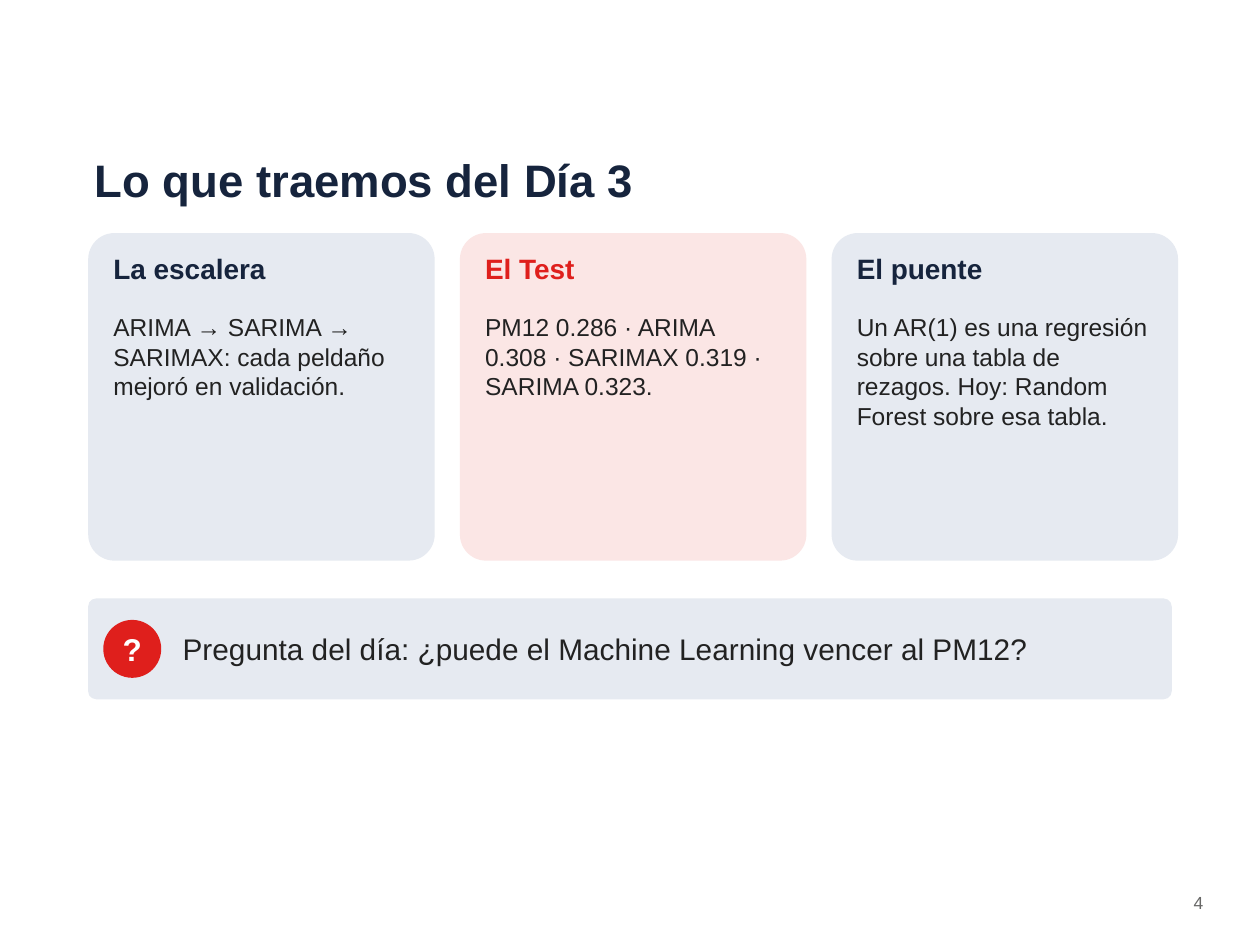
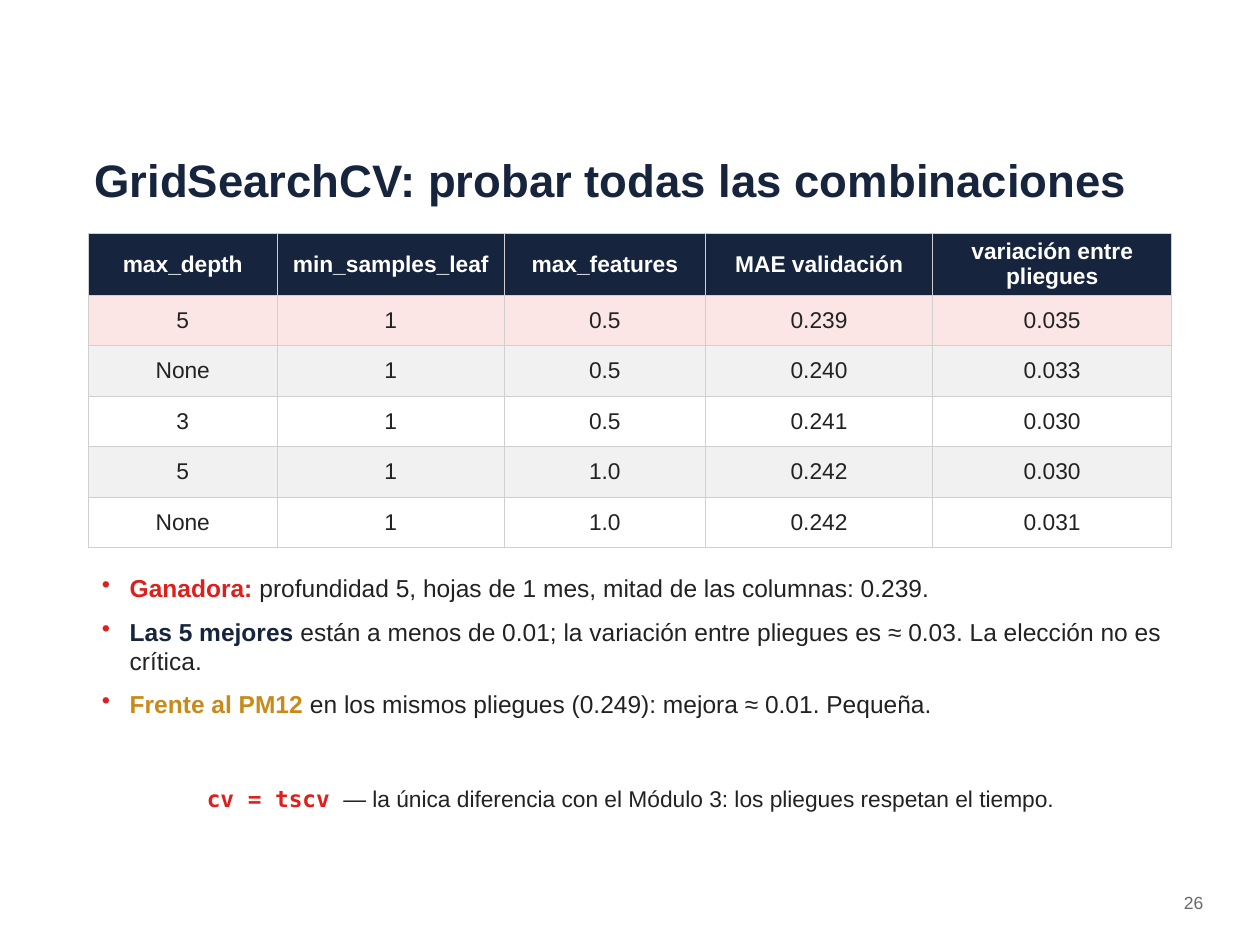
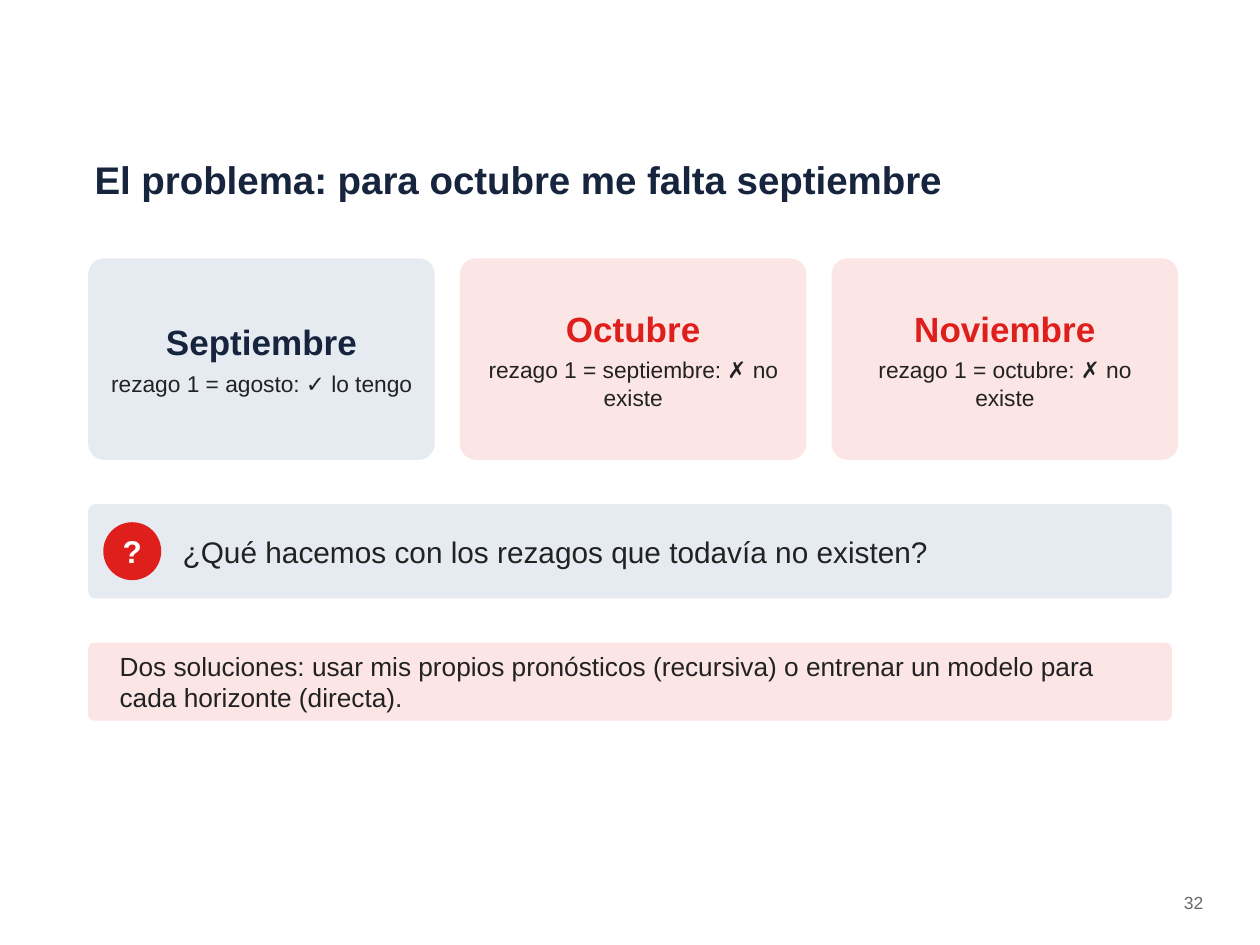
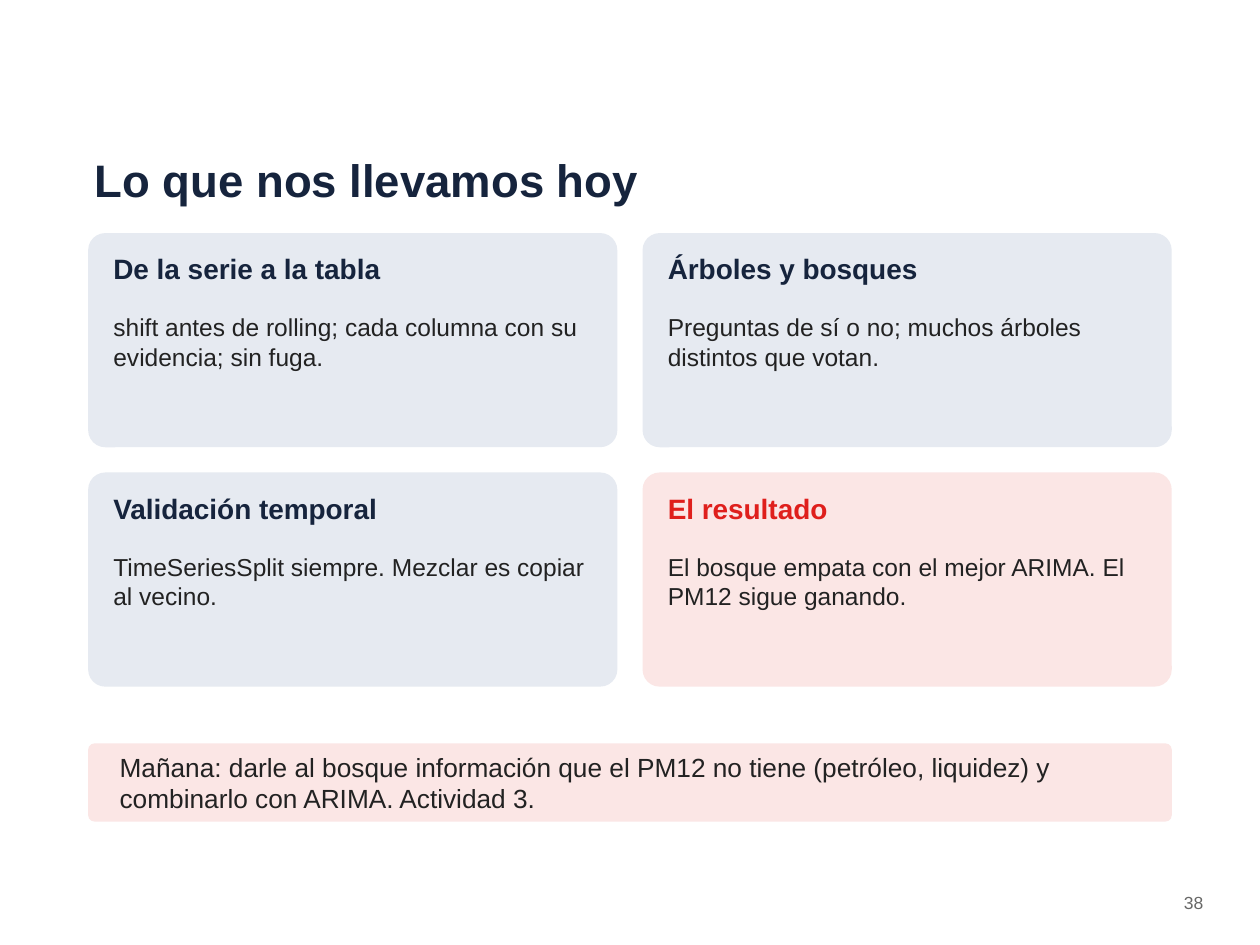
from lxml import etree
from pptx import Presentation
from pptx.dml.color import RGBColor
from pptx.enum.shapes import MSO_SHAPE
from pptx.enum.text import MSO_ANCHOR, MSO_AUTO_SIZE, PP_ALIGN
from pptx.oxml.ns import qn
from pptx.util import Pt

LEFT, CENTER, RIGHT = PP_ALIGN.LEFT, PP_ALIGN.CENTER, PP_ALIGN.RIGHT
TOP, MIDDLE = MSO_ANCHOR.TOP, MSO_ANCHOR.MIDDLE
ROUNDED, OVAL = MSO_SHAPE.ROUNDED_RECTANGLE, MSO_SHAPE.OVAL
GROW = MSO_AUTO_SIZE.SHAPE_TO_FIT_TEXT

COLORS = {
    "navy": "16243D", "red": "DF1F1C", "amber": "C98A1A", "text": "222222",
    "gray": "686867", "white": "FFFFFF", "pale_blue": "E6EAF1",
    "pale_red": "FBE6E5", "stripe": "F1F1F1", "border": "D0D0D0",
}
FONT, CODE_FONT = "Arial", "DejaVu Sans Mono"
# Card and heading colours by kind
KINDS = {"normal": ("pale_blue", "navy"), "alert": ("pale_red", "red")}

# Shared layout, in points
MARGIN, CONTENT_WIDTH, CONTENT_TOP, GAP = 50.4, 619.2, 133.2, 14.4
THIRD_WIDTH, HALF_WIDTH = 198, 302.4

# Content: (kind, heading, body)
RECAP_CARDS = [
    ("normal", "La escalera", "ARIMA → SARIMA → SARIMAX: cada peldaño mejoró en validación."),
    ("alert", "El Test", "PM12 0.286 · ARIMA 0.308 · SARIMAX 0.319 · SARIMA 0.323."),
    ("normal", "El puente", "Un AR(1) es una regresión sobre una tabla de rezagos. "
                            "Hoy: Random Forest sobre esa tabla."),
]
MONTH_CARDS = [
    ("normal", "Septiembre", "rezago 1 = agosto: ✓ lo tengo"),
    ("alert", "Octubre", "rezago 1 = septiembre: ✗ no existe"),
    ("alert", "Noviembre", "rezago 1 = octubre: ✗ no existe"),
]
SUMMARY_CARDS = [
    ("normal", "De la serie a la tabla",
     "shift antes de rolling; cada columna con su evidencia; sin fuga."),
    ("normal", "Árboles y bosques", "Preguntas de sí o no; muchos árboles distintos que votan."),
    ("normal", "Validación temporal", "TimeSeriesSplit siempre. Mezclar es copiar al vecino."),
    ("alert", "El resultado", "El bosque empata con el mejor ARIMA. El PM12 sigue ganando."),
]
GRID_RESULTS = [
    ("max_depth", "min_samples_leaf", "max_features", "MAE validación", "variación entre pliegues"),
    ("5", "1", "0.5", "0.239", "0.035"),
    ("None", "1", "0.5", "0.240", "0.033"),
    ("3", "1", "0.5", "0.241", "0.030"),
    ("5", "1", "1.0", "0.242", "0.030"),
    ("None", "1", "1.0", "0.242", "0.031"),
]
COLUMN_WIDTHS = [108, 129.6, 115.2, 129.6, 136.8]
ROW_HEIGHT = 28.8
ROW_FILLS = ["navy", "pale_red", "stripe", "white", "stripe", "white"]
FINDINGS = [
    ("Ganadora: ", "red", "profundidad 5, hojas de 1 mes, mitad de las columnas: 0.239."),
    ("Las 5 mejores ", "navy", "están a menos de 0.01; la variación entre pliegues es ≈ 0.03. "
                               "La elección no es crítica."),
    ("Frente al PM12 ", "amber", "en los mismos pliegues (0.249): mejora ≈ 0.01. Pequeña."),
]


def rgb(name):
    return RGBColor.from_string(COLORS[name])


def run(text, size, color="text", bold=False, font=FONT):
    return text, size, color, bold, font


def write(text_frame, paragraphs, align=LEFT, anchor=TOP, space_after=4, margins=(3.6, 2.16)):
    """Fill a text frame; each paragraph is a list of run() tuples."""
    text_frame.word_wrap = True
    text_frame.vertical_anchor = anchor
    text_frame.margin_left = text_frame.margin_right = Pt(margins[0])
    text_frame.margin_top = text_frame.margin_bottom = Pt(margins[1])
    for index, runs in enumerate(paragraphs):
        paragraph = text_frame.paragraphs[0] if index == 0 else text_frame.add_paragraph()
        paragraph.alignment = align
        paragraph.space_after = Pt(space_after)
        for text, size, color, bold, font in runs:
            part = paragraph.add_run()
            part.text = text
            part.font.size = Pt(size)
            part.font.name = font
            part.font.bold = bold
            part.font.color.rgb = rgb(color)


def add_text(slide, left, top, width, height, paragraphs, **options):
    box = slide.shapes.add_textbox(Pt(left), Pt(top), Pt(width), Pt(height))
    write(box.text_frame, paragraphs, **options)
    box.text_frame.auto_size = GROW
    return box


def add_panel(slide, left, top, width, height, fill, preset=ROUNDED):
    shape = slide.shapes.add_shape(preset, Pt(left), Pt(top), Pt(width), Pt(height))
    if preset == ROUNDED:
        shape.adjustments[0] = 0.08
    shape.shadow.inherit = False
    shape.fill.solid()
    shape.fill.fore_color.rgb = rgb(fill)
    shape.line.fill.background()
    return shape


def add_slide(presentation, title, number, title_size=26):
    slide = presentation.slides.add_slide(presentation.slide_layouts[5])
    heading = slide.shapes.title
    heading.left, heading.top = Pt(MARGIN), Pt(75.6)
    heading.width, heading.height = Pt(CONTENT_WIDTH), Pt(54)
    write(heading.text_frame, [[run(title, title_size, "navy", True)]], anchor=MIDDLE)
    heading.text_frame.auto_size = GROW
    add_text(slide, 648, 507.6, 43.2, 21.6, [[run(str(number), 10, "gray")]], align=RIGHT)
    return slide


def add_card(slide, left, top, width, height, card):
    kind, heading, body = card
    fill, color = KINDS[kind]
    add_panel(slide, left, top, width, height, fill)
    inner_left, inner_width = left + 10.8, width - 21.6
    add_text(slide, inner_left, top + 8.64, inner_width, 32.4, [[run(heading, 16, color, True)]])
    add_text(slide, inner_left, top + 43.2, inner_width, height - 50.4, [[run(body, 14)]])


def add_centered_card(slide, left, top, width, height, card):
    kind, heading, body = card
    fill, color = KINDS[kind]
    add_panel(slide, left, top, width, height, fill)
    add_text(slide, left + 7.2, top, width - 14.4, height,
             [[run(heading, 20, color, True)], [run(body, 13)]], align=CENTER, anchor=MIDDLE)


def add_card_grid(slide, cards, columns, top, width, height, draw_card=add_card):
    for index, card in enumerate(cards):
        row, column = divmod(index, columns)
        draw_card(slide, MARGIN + column * (width + GAP), top + row * (height + GAP),
                  width, height, card)


def add_question(slide, top, height, text):
    badge_size = 33.12
    add_panel(slide, MARGIN, top, CONTENT_WIDTH, height, "pale_blue")
    badge = add_panel(slide, 59.04, top + (height - badge_size) / 2,
                      badge_size, badge_size, "red", OVAL)
    write(badge.text_frame, [[run("?", 18, "white", True)]], align=CENTER, anchor=MIDDLE,
          space_after=0, margins=(0, 0))
    add_text(slide, 100.8, top, 561.6, height, [[run(text, 17)]], anchor=MIDDLE)


def add_takeaway(slide, top, text):
    height = 44.64
    add_panel(slide, MARGIN, top, CONTENT_WIDTH, height, "pale_red")
    add_text(slide, MARGIN + GAP, top, CONTENT_WIDTH - 2 * GAP, height,
             [[run(text, 15)]], anchor=MIDDLE)


def add_borders(cell):
    properties = cell._tc.get_or_add_tcPr()
    for side in ("a:lnL", "a:lnR", "a:lnT", "a:lnB"):
        line = etree.SubElement(properties, qn(side), w=str(Pt(0.5)))
        fill = etree.SubElement(line, qn("a:solidFill"))
        etree.SubElement(fill, qn("a:srgbClr"), val=COLORS["border"])


def add_results_table(slide):
    table = slide.shapes.add_table(
        len(GRID_RESULTS), len(COLUMN_WIDTHS), Pt(MARGIN), Pt(CONTENT_TOP),
        Pt(CONTENT_WIDTH), Pt(ROW_HEIGHT * len(GRID_RESULTS))).table
    table.horz_banding = False
    for column, width in zip(table.columns, COLUMN_WIDTHS):
        column.width = Pt(width)
    for row_index, (values, fill) in enumerate(zip(GRID_RESULTS, ROW_FILLS)):
        table.rows[row_index].height = Pt(ROW_HEIGHT)
        header = row_index == 0
        for column_index, value in enumerate(values):
            cell = table.cell(row_index, column_index)
            write(cell.text_frame, [[run(value, 13, "white" if header else "text", header)]],
                  align=CENTER, space_after=0)
            cell.vertical_anchor = MIDDLE
            cell.margin_left = cell.margin_right = Pt(4.32)
            cell.margin_top = cell.margin_bottom = Pt(2.16)
            add_borders(cell)
            cell.fill.solid()
            cell.fill.fore_color.rgb = rgb(fill)


def add_bullet(paragraph):
    properties = paragraph._p.get_or_add_pPr()
    properties.set("marL", str(Pt(20.16)))
    properties.set("indent", str(Pt(-15.84)))
    color = etree.SubElement(properties, qn("a:buClr"))
    etree.SubElement(color, qn("a:srgbClr"), val=COLORS["red"])
    etree.SubElement(properties, qn("a:buChar"), char="•")


def main():
    presentation = Presentation()
    presentation.slide_width, presentation.slide_height = Pt(720), Pt(540)

    # Recap of day 3
    slide = add_slide(presentation, "Lo que traemos del Día 3", 4)
    add_card_grid(slide, RECAP_CARDS, 3, CONTENT_TOP, THIRD_WIDTH, 187.2)
    add_question(slide, 342, 57.6, "Pregunta del día: ¿puede el Machine Learning vencer al PM12?")

    # Grid search results
    slide = add_slide(presentation, "GridSearchCV: probar todas las combinaciones", 26)
    add_results_table(slide)
    findings = add_text(
        slide, MARGIN, 324, CONTENT_WIDTH, 115.2,
        [[run(lead, 14, color, True), run(rest, 14)] for lead, color, rest in FINDINGS],
        space_after=8, margins=(3.6, 3.6))
    for paragraph in findings.text_frame.paragraphs:
        add_bullet(paragraph)
    add_text(slide, MARGIN, 446.4, CONTENT_WIDTH, 28.8, [[
        run("cv = tscv ", 13, "red", True, CODE_FONT),
        run("— la única diferencia con el Módulo 3: los pliegues respetan el tiempo.", 13),
    ]], align=CENTER)

    # Missing lags
    slide = add_slide(presentation, "El problema: para octubre me falta septiembre", 32, 22)
    add_card_grid(slide, MONTH_CARDS, 3, 147.6, THIRD_WIDTH, 115.2, add_centered_card)
    add_question(slide, 288, 54, "¿Qué hacemos con los rezagos que todavía no existen?")
    add_takeaway(slide, 367.2, "Dos soluciones: usar mis propios pronósticos (recursiva) "
                               "o entrenar un modelo para cada horizonte (directa).")

    # Summary of the day
    slide = add_slide(presentation, "Lo que nos llevamos hoy", 38)
    add_card_grid(slide, SUMMARY_CARDS, 2, CONTENT_TOP, HALF_WIDTH, 122.4)
    add_takeaway(slide, 424.8, "Mañana: darle al bosque información que el PM12 no tiene "
                               "(petróleo, liquidez) y combinarlo con ARIMA. Actividad 3.")

    presentation.save("out.pptx")


if __name__ == "__main__":
    main()
